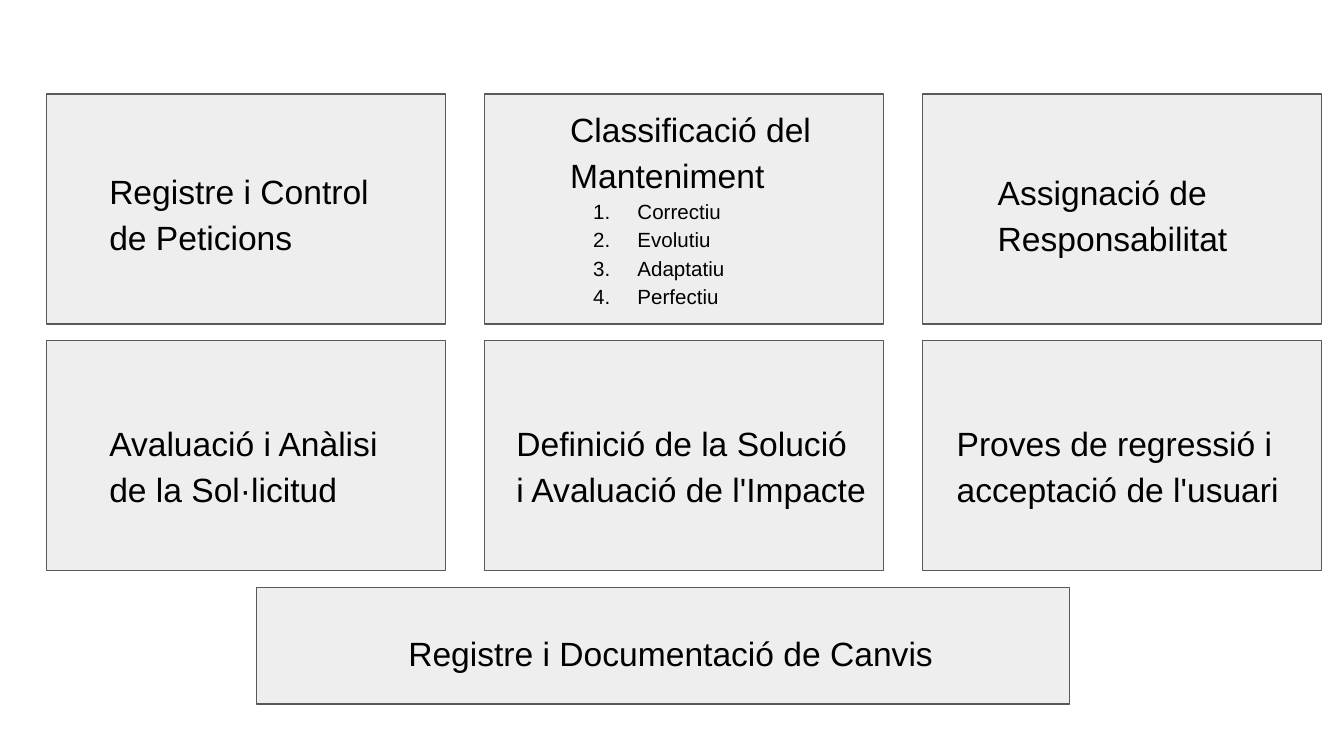
from pptx import Presentation
from pptx import util as u
from pptx.dml import color
from pptx.enum import shapes, text
from pptx.oxml import xmlchemy as xml

PX = 4572  # 200 px to the inch
BLACK = color.RGBColor(0x00, 0x00, 0x00)
PANEL_FILL = color.RGBColor(0xEE, 0xEE, 0xEE)
PANEL_LINE = color.RGBColor(0x59, 0x59, 0x59)
INSET = 20 * PX

deck = Presentation()
deck.slide_width, deck.slide_height = 2000 * PX, 1125 * PX
page = deck.slides.add_slide(deck.slide_layouts[6])

# Panels: a grid of three by two, with a wide one below
panels = [(69 + 652 * column, 140 + 367 * row, 594, 342)
          for row in range(2) for column in range(3)]
panels.append((382, 874, 1210, 174))
for panel in panels:
    box = page.shapes.add_shape(shapes.MSO_SHAPE.RECTANGLE, *[side * PX for side in panel])
    box.shadow.inherit = False
    box.fill.solid()
    box.fill.fore_color.rgb = PANEL_FILL
    box.line.color.rgb = PANEL_LINE
    box.line.width = u.Pt(0.75)

# Labels: place, heading lines, numbered items
labels = [
    ((143, 225, 446, 174), ["Registre i Control", "de Peticions"], []),
    ((829, 133, 412, 362), ["Classificació del", "Manteniment"],
     ["Correctiu", "Evolutiu", "Adaptatiu", "Perfectiu"]),
    ((1465, 227, 412, 174), ["Assignació de", "Responsabilitat"], []),
    ((143, 600, 446, 174), ["Avaluació i Anàlisi", "de la Sol·licitud"], []),
    ((749, 600, 572, 158), ["Definició de la Solució", "i Avaluació de l'Impacte"], []),
    ((1404, 600, 534, 158), ["Proves de regressió i", "acceptació de l'usuari"], []),
    ((588, 913, 826, 98), ["Registre i Documentació de Canvis"], []),
]
for place, heading, items in labels:
    box = page.shapes.add_textbox(*[side * PX for side in place])
    frame = box.text_frame
    frame.word_wrap = True
    frame.vertical_anchor = text.MSO_ANCHOR.TOP
    frame.margin_left = frame.margin_right = INSET
    frame.margin_top = frame.margin_bottom = INSET
    frame.text = "\n".join(heading + items)
    for index, para in enumerate(frame.paragraphs):
        para.line_spacing = 1.15
        is_item = index >= len(heading)
        if is_item:
            # Automatic numbering with a hanging indent
            properties = para._p.get_or_add_pPr()
            properties.set("marL", str(100 * PX))
            properties.set("indent", str(-66 * PX))
            number = xml.OxmlElement("a:buAutoNum")
            number.set("type", "arabicPeriod")
            properties.append(number)
        para.font.name = "Arial"
        para.font.size = u.Pt(11 if is_item else 18)
        para.font.color.rgb = BLACK

deck.save("out.pptx")
